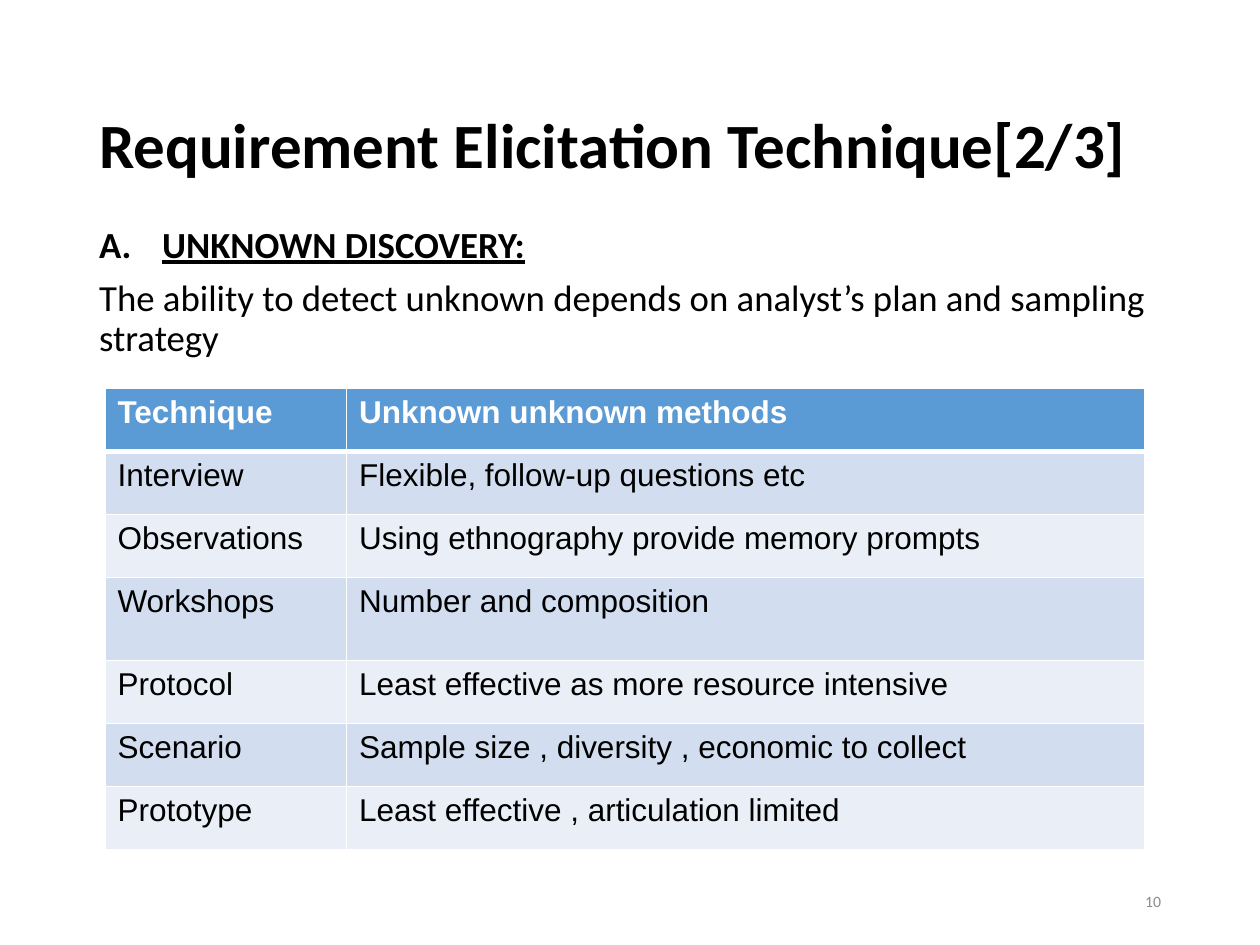
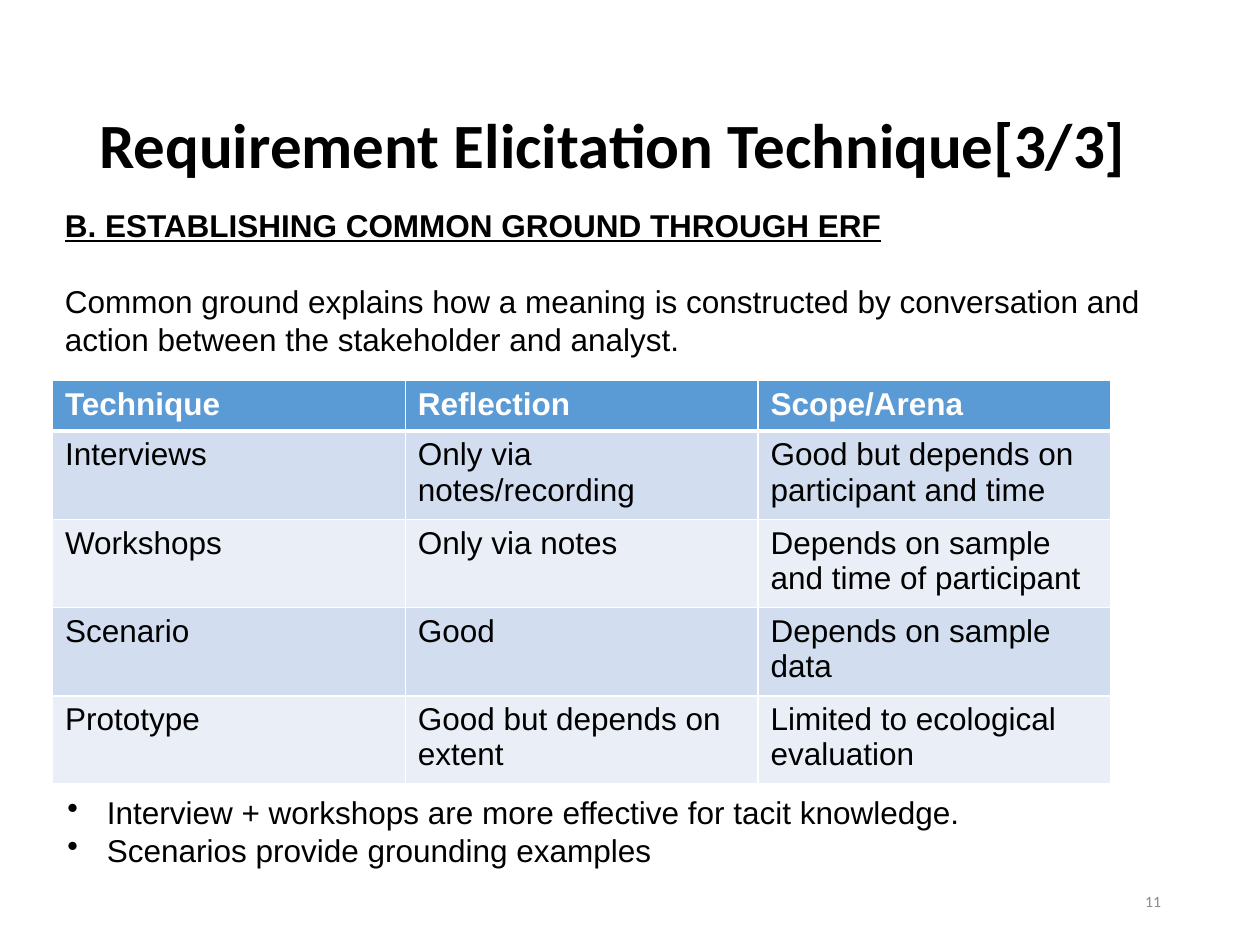
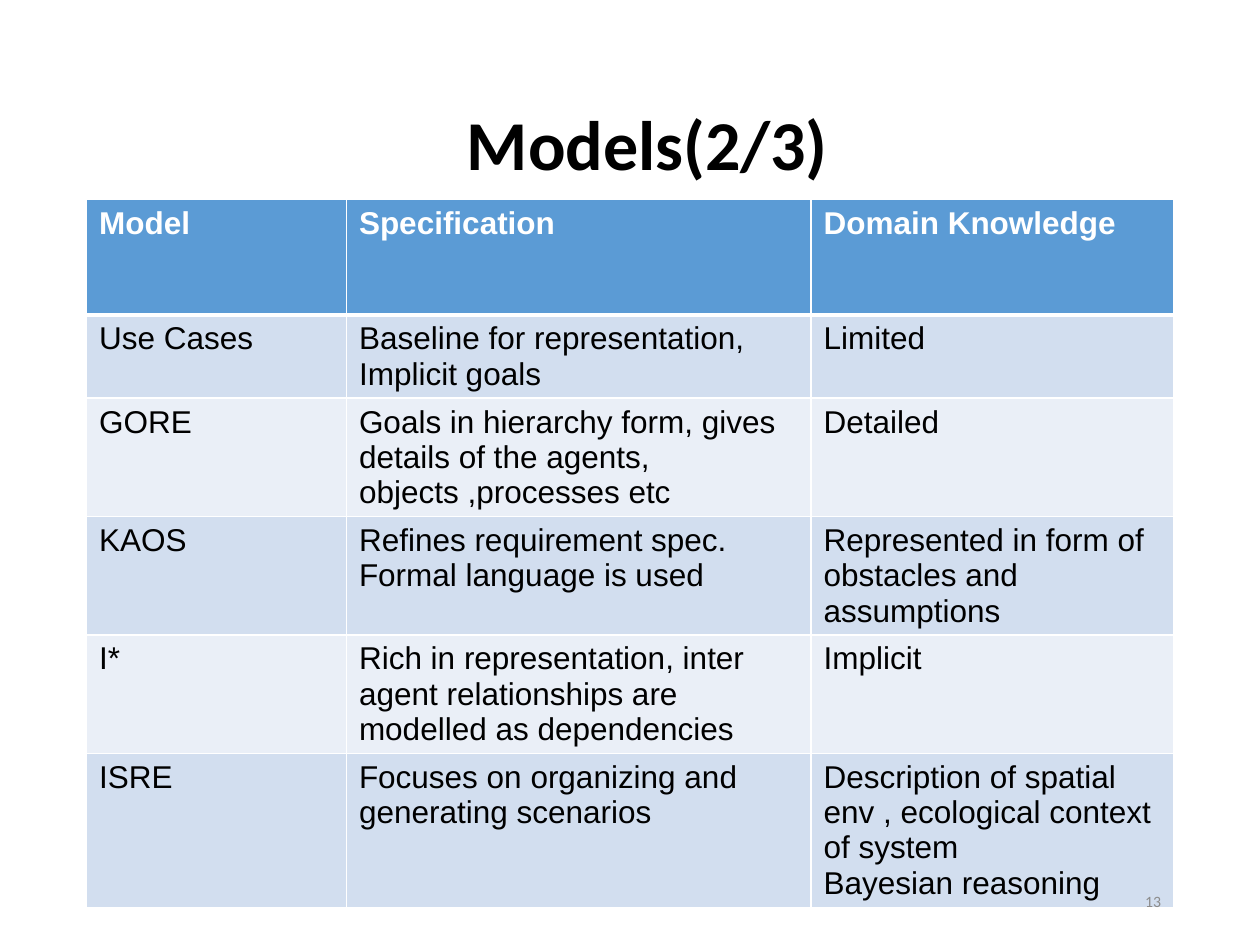
from dataclasses import dataclass

from lxml.etree import SubElement
from pptx import Presentation
from pptx.dml.color import RGBColor
from pptx.enum.text import MSO_ANCHOR, MSO_AUTO_SIZE, PP_ALIGN
from pptx.oxml import parse_xml
from pptx.oxml.ns import nsdecls, qn
from pptx.util import Pt


@dataclass(frozen=True)
class Theme:
    """Colours, fonts and type sizes shared by the slides."""

    ink: str = "000000"
    paper: str = "FFFFFF"
    muted: str = "8C8C8C"
    header: str = "5B9BD5"
    bands: tuple = ("D2DEEF", "EAEFF7")
    heading_font: str = "Calibri"
    text_font: str = "Arial"
    title_size: float = 36
    large_title_size: float = 40
    body_size: float = 21
    text_size: float = 18
    number_size: float = 9
    text_pitch: float = 21.75
    thin_rule: float = 1
    thick_rule: float = 3


@dataclass(frozen=True)
class Box:
    """A region of a slide, in points."""

    left: float
    top: float
    width: float
    height: float

    def lengths(self):
        """Return the four lengths ready for python-pptx."""
        return [Pt(value) for value in (self.left, self.top, self.width, self.height)]


THEME = Theme()
TITLE_BOX = Box(49.5, 55.5, 621, 58.5)
NUMBER_BOX = Box(508.5, 500.5, 162, 28.75)


def set_values(target, values):
    """Set each named attribute of the target."""
    for name, value in values.items():
        setattr(target, name, value)


def place(shape, box):
    """Move a shape into the box."""
    set_values(shape, dict(zip(("left", "top", "width", "height"), box.lengths())))


def style_font(para, font, size, colour, **values):
    """Format every run of a paragraph."""
    for span in para.runs:
        set_values(span.font, {"name": font, "size": Pt(size), **values})
        span.font.color.rgb = RGBColor.from_string(colour)


def set_bullet(para, kind, indent=0, **attributes):
    """Give a paragraph a hanging indent and a bullet element."""
    properties = para._p.get_or_add_pPr()
    properties.set("marL", str(Pt(indent)))
    properties.set("indent", str(-Pt(indent)))
    SubElement(properties, qn(f"a:{kind}"), attributes)


def add_title(page, text, box=TITLE_BOX, size=THEME.title_size, align=PP_ALIGN.LEFT):
    """Fill the title placeholder."""
    title = page.shapes.title
    place(title, box)
    frame = title.text_frame
    frame.text = text
    set_values(frame, {"vertical_anchor": MSO_ANCHOR.MIDDLE, "word_wrap": True,
                       "auto_size": MSO_AUTO_SIZE.NONE})
    para = frame.paragraphs[0]
    set_values(para, {"alignment": align, "line_spacing": 0.9})
    style_font(para, THEME.heading_font, size, THEME.ink, bold=True)


def add_body(page, box, heading, text):
    """Fill the body placeholder with a lettered heading and a sentence."""
    body = page.placeholders[1]
    place(body, box)
    frame = body.text_frame
    frame.text = f"{heading}\n{text}"
    frame.auto_size = MSO_AUTO_SIZE.NONE
    for para, strong in zip(frame.paragraphs, (True, False)):
        set_values(para, {"line_spacing": 0.9, "space_before": Pt(7.5)})
        style_font(para, THEME.heading_font, THEME.body_size, THEME.ink,
                   bold=strong, underline=strong)
    set_bullet(frame.paragraphs[0], "buAutoNum", 36, type="alphaUcPeriod")
    set_bullet(frame.paragraphs[1], "buNone")


def add_text(page, box, text):
    """Add a wrapping text box and return its frame."""
    frame = page.shapes.add_textbox(*box.lengths()).text_frame
    frame.word_wrap = True
    frame.text = text
    for para in frame.paragraphs:
        para.line_spacing = Pt(THEME.text_pitch)
        style_font(para, THEME.text_font, THEME.text_size, THEME.ink)
    return frame


def add_introduction(page, box, heading, text):
    """Add an underlined heading with a sentence one line below."""
    first, second = add_text(page, box, f"{heading}\n{text}").paragraphs
    style_font(first, THEME.text_font, THEME.text_size, THEME.ink,
               bold=True, underline=True)
    second.space_before = Pt(THEME.text_pitch)


def add_bullets(page, box, items):
    """Add a bulleted list."""
    for para in add_text(page, box, "\n".join(items)).paragraphs:
        set_bullet(para, "buChar", 22.5, char="•")


def add_number(page, number, box=NUMBER_BOX):
    """Add the page number at the lower right."""
    frame = page.shapes.add_textbox(*box.lengths()).text_frame
    set_values(frame, {"word_wrap": True, "vertical_anchor": MSO_ANCHOR.MIDDLE})
    frame.text = str(number)
    para = frame.paragraphs[0]
    para.alignment = PP_ALIGN.RIGHT
    style_font(para, THEME.heading_font, THEME.number_size, THEME.muted)


def set_borders(cell, row):
    """Rule a cell in white, with a thick rule under the header."""
    thin, thick = THEME.thin_rule, THEME.thick_rule
    widths = {"lnL": thin, "lnR": thin,
              "lnT": thick if row == 1 else thin,
              "lnB": thick if row == 0 else thin}
    properties = cell._tc.get_or_add_tcPr()
    for position, (side, width) in enumerate(widths.items()):
        properties.insert(position, parse_xml(
            f'<a:{side} {nsdecls("a")} w="{Pt(width)}"><a:solidFill>'
            f'<a:srgbClr val="{THEME.paper}"/></a:solidFill></a:{side}>'))


def add_grid(page, box, widths, heights, records):
    """Add a banded table with a header row."""
    table = page.shapes.add_table(len(records), len(widths), *box.lengths()).table
    for column, width in zip(table.columns, widths):
        column.width = Pt(width)
    for row, (height, record) in enumerate(zip(heights, records)):
        table.rows[row].height = Pt(height)
        is_header = row == 0
        fill = THEME.header if is_header else THEME.bands[(row - 1) % 2]
        for column, text in enumerate(record):
            cell = table.cell(row, column)
            cell.text = text
            cell.fill.solid()
            cell.fill.fore_color.rgb = RGBColor.from_string(fill)
            set_borders(cell, row)
            for para in cell.text_frame.paragraphs:
                style_font(para, THEME.text_font, THEME.text_size,
                           THEME.paper if is_header else THEME.ink, bold=is_header)


def build_discovery(deck):
    """Build the slide on discovering unknowns."""
    page = deck.slides.add_slide(deck.slide_layouts[1])
    add_title(page, "Requirement Elicitation Technique[2/3]")
    add_body(page, Box(49.5, 126, 621, 361), "UNKNOWN DISCOVERY:",
             "The ability to detect unknown depends on analyst’s plan "
             "and sampling strategy")
    add_grid(page, Box(60, 222, 594, 264), (138, 456),
             (36, 36, 36, 47.5, 36, 36, 36), (
        ("Technique", "Unknown unknown methods"),
        ("Interview", "Flexible, follow-up questions etc"),
        ("Observations", "Using ethnography provide memory prompts"),
        ("Workshops", "Number and composition"),
        ("Protocol", "Least effective as more resource intensive"),
        ("Scenario", "Sample size , diversity , economic to collect"),
        ("Prototype", "Least effective , articulation limited")))
    add_number(page, 10)


def build_common_ground(deck):
    """Build the slide on establishing common ground."""
    page = deck.slides.add_slide(deck.slide_layouts[5])
    add_title(page, "Requirement Elicitation Technique[3/3]")
    add_introduction(page, Box(30, 114, 641, 116.5),
                     "B. ESTABLISHING COMMON GROUND THROUGH ERF",
                     "Common ground explains how a meaning is constructed by "
                     "conversation and action between the stakeholder and analyst.")
    add_grid(page, Box(30, 217.5, 604.8, 230), [201.6] * 3, [28.5] + [50.3] * 4, (
        ("Technique", "Reflection", "Scope/Arena"),
        ("Interviews", "Only via notes/recording",
         "Good but depends on participant and time"),
        ("Workshops", "Only via notes", "Depends on sample and time of participant"),
        ("Scenario", "Good", "Depends on sample data"),
        ("Prototype", "Good but depends on extent",
         "Limited to ecological evaluation")))
    add_bullets(page, Box(31.5, 449.5, 534, 51), (
        "Interview + workshops are more effective for tacit knowledge.",
        "Scenarios provide grounding examples"))
    add_number(page, 11)


def build_models(deck):
    """Build the slide comparing models."""
    page = deck.slides.add_slide(deck.slide_layouts[5])
    add_title(page, "Models(2/3)", Box(49.5, 55.5, 641, 58.5),
              THEME.large_title_size, PP_ALIGN.CENTER)
    add_grid(page, Box(49.5, 114, 621, 404), (148.5, 265.5, 207),
             (66, 47.5, 67.6, 67.6, 67.6, 87.7), (
        ("Model", "Specification", "Domain Knowledge"),
        ("Use Cases", "Baseline for representation, Implicit goals", "Limited"),
        ("GORE", "Goals in hierarchy form, gives details of the agents, "
         "objects ,processes etc", "Detailed"),
        ("KAOS", "Refines requirement spec.\nFormal language is used",
         "Represented in form of obstacles and assumptions"),
        ("I*", "Rich in representation, inter agent relationships are "
         "modelled as dependencies", "Implicit"),
        ("ISRE", "Focuses on organizing and generating scenarios",
         "Description of spatial env , ecological context of system\n"
         "Bayesian reasoning")))
    add_number(page, 13)


def main():
    """Build and save the deck."""
    deck = Presentation()
    set_values(deck, {"slide_width": Pt(720), "slide_height": Pt(540)})
    for build in (build_discovery, build_common_ground, build_models):
        build(deck)
    deck.save("out.pptx")


main()
